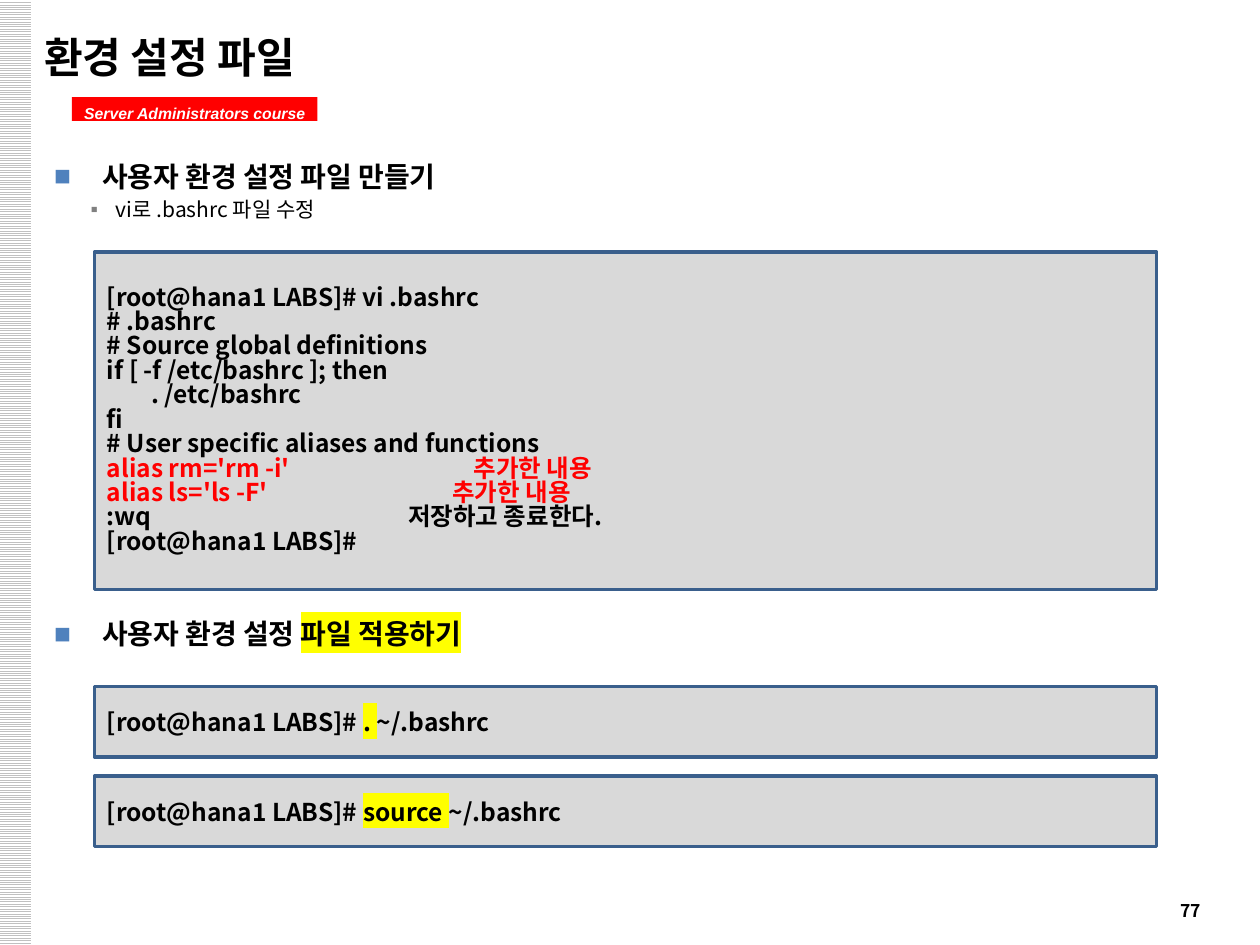
from lxml import etree
from pptx import Presentation, util as u
from pptx.dml.color import RGBColor
from pptx.enum import dml, shapes, text
from pptx.oxml.ns import qn

BLACK = RGBColor(0, 0, 0)
WHITE = RGBColor(255, 255, 255)
RED = RGBColor(255, 0, 0)
SILVER = RGBColor(0xC0, 0xC0, 0xC0)
PANEL = RGBColor(0xD9, 0xD9, 0xD9)
BORDER = RGBColor(0x3A, 0x5F, 0x8C)
BLUE = RGBColor(0x4F, 0x81, 0xBD)
GRAY = RGBColor(0x80, 0x80, 0x80)
YELLOW = RGBColor(255, 255, 0)
ARIAL, NOTO = "Arial", "Noto Sans CJK KR"

TITLE = "환경 설정 파일"
COURSE = "Server Administrators course"
PAGE = "77"
HEADING = dict(level=0, size=16, font=ARIAL, bold=True, char="■", color=BLUE,
               margin=0.38, hang=0.38, spacing=1.5, after=0)
DETAIL = dict(level=1, size=12, font=NOTO, bold=False, char="▪", color=GRAY,
              margin=0.49, hang=0.2, spacing=1, after=4)
BODY = [
    (HEADING, 0, [("사용자 환경 설정 파일 만들기", None)]),
    (DETAIL, 2.4, [("vi로 .bashrc 파일 수정", None)]),
    (HEADING, 212, [("사용자 환경 설정 ", None), ("파일 적용하기", YELLOW)]),
]
PROMPT = "[root@hana1 LABS]# "
EDIT = [
    (BLACK, None, [(PROMPT + "vi .bashrc", None)]),
    (BLACK, None, [("# .bashrc", None)]),
    (BLACK, None, [("# Source global definitions", None)]),
    (BLACK, None, [("if [ -f /etc/bashrc ]; then", None)]),
    (BLACK, None, [("        . /etc/bashrc", None)]),
    (BLACK, None, [("fi", None)]),
    (BLACK, None, [("# User specific aliases and functions", None)]),
    (RED, 2.91, [("alias rm='rm -i'\t추가한 내용", None)]),
    (RED, 2.74, [("alias ls='ls -F'\t추가한 내용", None)]),
    (BLACK, 2.39, [(":wq\t저장하고 종료한다.", None)]),
    (BLACK, None, [(PROMPT.strip(), None)]),
]
PANELS = [(2, 2.68, 0.83, EDIT)] + [
    (top, 0.56, 1, [(BLACK, None, [(PROMPT, None), (command, YELLOW),
                                   ("~/.bashrc", None)])])
    for top, command in [(5.45, ". "), (6.16, "source ")]
]


def place(sp, left, top, width, height):
    sp.left, sp.top = u.Inches(left), u.Inches(top)
    sp.width, sp.height = u.Inches(width), u.Inches(height)


def add_run(p, words, size, color=BLACK, font=NOTO, bold=True, highlight=None):
    r = p.add_run()
    r.text = words
    r.font.size, r.font.bold = u.Pt(size), bold
    r.font.color.rgb = color
    rpr = r.font._element
    if highlight is not None:
        mark = etree.SubElement(rpr, qn("a:highlight"))
        etree.SubElement(mark, qn("a:srgbClr"), val=str(highlight))
    r.font.name = font
    etree.SubElement(rpr, qn("a:ea"), typeface=NOTO)
    return r


def add_rect(slide, *box):
    sp = slide.shapes.add_shape(shapes.MSO_SHAPE.RECTANGLE, *map(u.Inches, box))
    sp.shadow.inherit = False
    sp.line.fill.background()
    return sp


def add_bullet(p, style):
    ppr = p._p.get_or_add_pPr()
    ppr.set("marL", str(u.Inches(style["margin"])))
    ppr.set("indent", str(-u.Inches(style["hang"])))
    color = etree.SubElement(ppr, qn("a:buClr"))
    etree.SubElement(color, qn("a:srgbClr"), val=str(style["color"]))
    etree.SubElement(ppr, qn("a:buFont"), typeface=ARIAL)
    etree.SubElement(ppr, qn("a:buChar"), char=style["char"])


def add_tab(p, position):
    tabs = etree.SubElement(p._p.get_or_add_pPr(), qn("a:tabLst"))
    etree.SubElement(tabs, qn("a:tab"), pos=str(u.Inches(position)), algn="l")


def next_paragraph(tf, index):
    return tf.add_paragraph() if index else tf.paragraphs[0]


def add_frame(slide):
    strip = add_rect(slide, -0.01, 0, 0.26, 7.5)
    strip.fill.patterned()
    strip.fill.pattern = dml.MSO_PATTERN.LIGHT_HORIZONTAL
    strip.fill.fore_color.rgb, strip.fill.back_color.rgb = SILVER, WHITE

    number = slide.shapes.add_textbox(*map(u.Inches, (9.27, 7.14, 0.73, 0.05)))
    number.text_frame.word_wrap = True
    add_run(number.text_frame.paragraphs[0], PAGE, 10)

    badge = add_rect(slide, 0.57, 0.77, 1.95, 0.19)
    badge.fill.solid()
    badge.fill.fore_color.rgb = RED
    tf = badge.text_frame
    tf.word_wrap = False
    tf.vertical_anchor = text.MSO_ANCHOR.TOP
    p = tf.paragraphs[0]
    p.alignment = text.PP_ALIGN.CENTER
    add_run(p, COURSE, 9, WHITE, ARIAL).font.italic = True


def fill_placeholders(slide):
    title, body = slide.placeholders
    place(title, 0.25, 0.15, 9.25, 0.6)
    title.text_frame.vertical_anchor = text.MSO_ANCHOR.MIDDLE
    title.text_frame.auto_size = text.MSO_AUTO_SIZE.NONE
    p = title.text_frame.paragraphs[0]
    p.alignment = text.PP_ALIGN.LEFT
    add_run(p, TITLE, 24)

    place(body, 0.33, 1.08, 9.17, 5.83)
    tf = body.text_frame
    tf.auto_size = text.MSO_AUTO_SIZE.NONE
    for i, (style, before, runs) in enumerate(BODY):
        p = next_paragraph(tf, i)
        p.level = style["level"]
        add_bullet(p, style)
        p.line_spacing = style["spacing"]
        p.space_before, p.space_after = u.Pt(before), u.Pt(style["after"])
        for words, highlight in runs:
            add_run(p, words, style["size"], font=style["font"],
                    bold=style["bold"], highlight=highlight)


def add_panel(slide, top, height, spacing, lines):
    sp = add_rect(slide, 0.75, top, 8.43, height)
    sp.fill.solid()
    sp.fill.fore_color.rgb = PANEL
    sp.line.color.rgb, sp.line.width = BORDER, u.Pt(2)
    tf = sp.text_frame
    tf.word_wrap = True
    tf.vertical_anchor = text.MSO_ANCHOR.MIDDLE
    for i, (color, tab, runs) in enumerate(lines):
        p = next_paragraph(tf, i)
        p.alignment = text.PP_ALIGN.LEFT
        p.line_spacing = spacing
        if tab:
            add_tab(p, tab)
        for words, highlight in runs:
            add_run(p, words, 14, color, highlight=highlight)


def main():
    prs = Presentation()
    prs.slide_width, prs.slide_height = u.Inches(10), u.Inches(7.5)
    slide = prs.slides.add_slide(prs.slide_layouts[1])
    add_frame(slide)
    fill_placeholders(slide)
    for panel in PANELS:
        add_panel(slide, *panel)
    prs.save("out.pptx")


if __name__ == "__main__":
    main()
